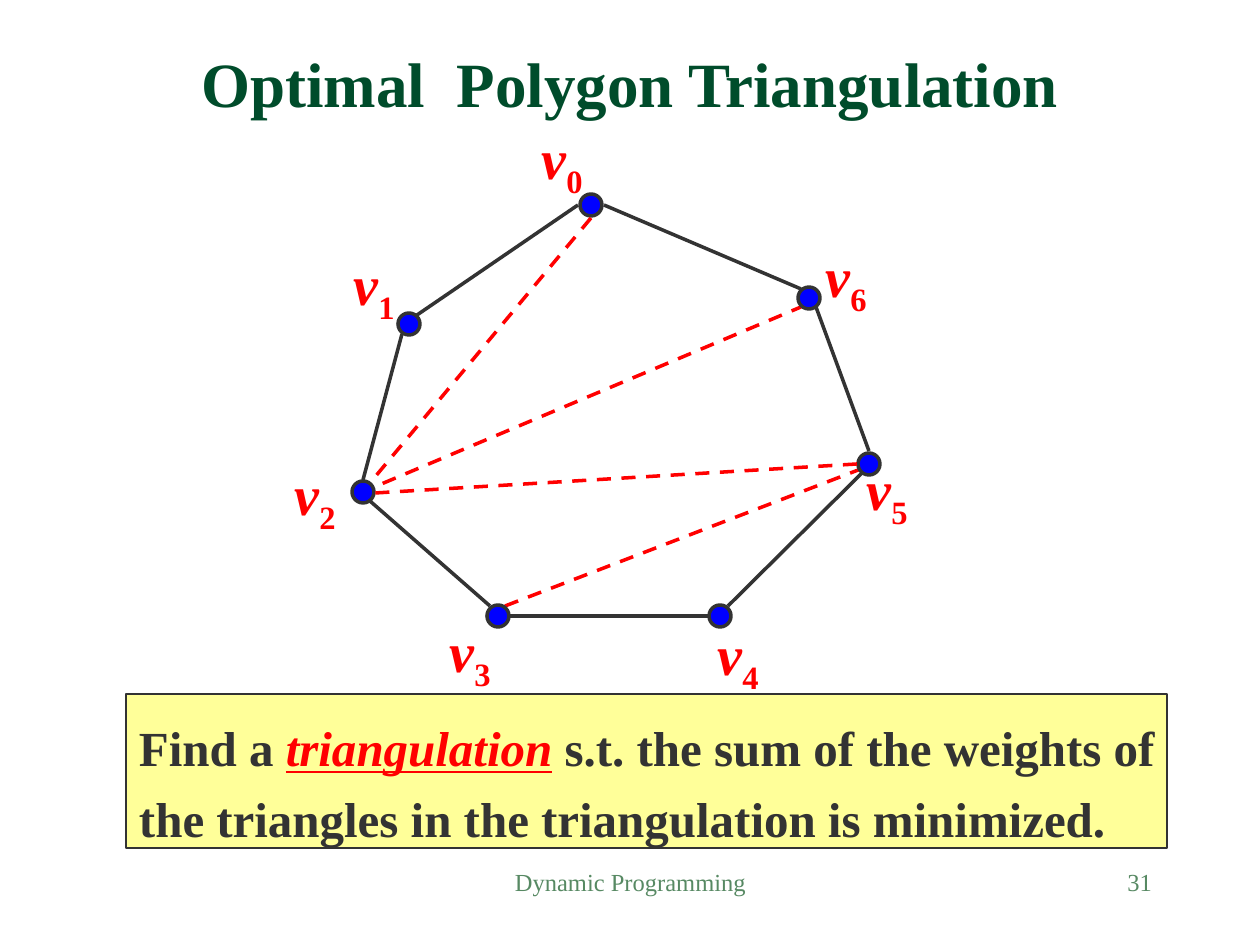
from lxml import etree
from pptx import Presentation
from pptx.dml.color import RGBColor
from pptx.enum.dml import MSO_LINE
from pptx.enum.shapes import MSO_CONNECTOR, MSO_SHAPE
from pptx.enum.text import MSO_ANCHOR, MSO_AUTO_SIZE, PP_ALIGN
from pptx.oxml.ns import qn
from pptx.util import Emu, Pt

STRAIGHT = MSO_CONNECTOR.STRAIGHT
OVAL, RECTANGLE = MSO_SHAPE.OVAL, MSO_SHAPE.RECTANGLE
TOP, BOTTOM = MSO_ANCHOR.TOP, MSO_ANCHOR.BOTTOM
LEFT, CENTER, RIGHT = PP_ALIGN.LEFT, PP_ALIGN.CENTER, PP_ALIGN.RIGHT
DASH = MSO_LINE.DASH
NO_AUTOFIT = MSO_AUTO_SIZE.NONE

FONT = "Times New Roman"
INK, RED, BLUE, YELLOW = "333333", "FF0000", "0000FF", "FFFF99"
TITLE_GREEN, FOOTER_GREEN = "004C2B", "578963"
DOT = 22
INSETS = (13, 6, 13, 6)

VERTICES = [
    ((591, 205), (541, 131)),
    ((409, 324), (353, 257)),
    ((363, 492), (294, 467)),
    ((498, 616), (449, 624)),
    ((720, 616), (717, 627)),
    ((869, 464), (866, 462)),
    ((809, 298), (825, 249)),
]
SIDES = [
    (578, 205, 417, 315),
    (402, 334, 363, 480),
    (370, 501, 490, 606),
    (510, 616, 708, 616),
    (728, 606, 862, 473),
    (869, 451, 816, 307),
    (801, 289, 604, 205),
]
DIAGONALS_BEHIND = [(360, 493, 801, 307), (505, 606, 866, 467)]
DIAGONALS_IN_FRONT = [(857, 464, 375, 493), (591, 218, 370, 483)]


def px(length):
    return Emu(round(length * 914400 / 126))


def color(value):
    return RGBColor.from_string(value)


class SlideBuilder:
    """Draws styled elements on the current slide."""

    def __init__(self, slide):
        self.slide = slide
        self.shapes = slide.shapes

    def add_runs(self, shape, runs, size, align=LEFT, anchor=TOP, insets=INSETS,
                 spacing=1.0, wrap=True):
        frame = shape.text_frame
        frame.auto_size = NO_AUTOFIT
        frame.word_wrap = wrap
        frame.vertical_anchor = anchor
        (frame.margin_left, frame.margin_top,
         frame.margin_right, frame.margin_bottom) = map(px, insets)
        paragraph = frame.paragraphs[0]
        paragraph.alignment = align
        paragraph.line_spacing = spacing
        paragraph.space_before = Pt(0)
        for text, ink, style in runs:
            run = paragraph.add_run()
            run.text = text
            font = run.font
            font.name, font.size = FONT, Pt(size)
            font.color.rgb = color(ink)
            font.bold = "b" in style
            font.italic = "i" in style
            font.underline = "u" in style
            if "sub" in style:
                run._r.get_or_add_rPr().set("baseline", "-25000")

    def title(self, text, left, top, width, height):
        shape = self.shapes.title
        shape.left, shape.top = px(left), px(top)
        shape.width, shape.height = px(width), px(height)
        self.add_runs(shape, [(text, TITLE_GREEN, ["b"])], 36, CENTER, BOTTOM)

    def text(self, runs, left, top, width, height, size, align, **options):
        shape = self.shapes.add_textbox(*map(px, (left, top, width, height)))
        self.add_runs(shape, runs, size, align, **options)

    def shape(self, kind, left, top, width, height, fill, line_width):
        shape = self.shapes.add_shape(kind, *map(px, (left, top, width, height)))
        shape.shadow.inherit = False
        shape.fill.solid()
        shape.fill.fore_color.rgb = color(fill)
        shape.line.color.rgb = color(INK)
        shape.line.width = Pt(line_width)
        return shape

    def line(self, ends, ink, dash=None):
        connector = self.shapes.add_connector(STRAIGHT, *map(px, ends))
        connector.line.color.rgb = color(ink)
        connector.line.width = Pt(2)
        if dash is not None:
            connector.line.dash_style = dash
        etree.SubElement(connector._element.spPr, qn("a:effectLst"))

    def vertex(self, center_x, center_y):
        self.shape(OVAL, center_x - DOT // 2, center_y - DOT // 2, DOT, DOT, BLUE, 2)

    def vertex_label(self, index, left, top):
        runs = [("v", RED, ["b", "i"]), (str(index), RED, ["b", "sub"])]
        self.text(runs, left, top, 42, 62, 32, CENTER,
                  insets=(0, 0, 0, 0), spacing=0.8, wrap=False)


def main():
    presentation = Presentation()
    presentation.slide_width, presentation.slide_height = px(1260), px(945)
    slide = presentation.slides.add_slide(presentation.slide_layouts[5])
    builder = SlideBuilder(slide)

    builder.title("Optimal  Polygon Triangulation", 84, 53, 1092, 73)
    problem = builder.shape(RECTANGLE, 126, 694, 1041, 154, YELLOW, 1)
    builder.add_runs(problem, [
        ("Find a ", INK, ["b"]),
        ("triangulation", RED, ["b", "i", "u"]),
        (" s.t. the sum of the weights of the triangles in the "
         "triangulation is minimized.", INK, ["b"]),
    ], 28, insets=(13, 12, 10, 6), spacing=1.2)

    for ends in DIAGONALS_BEHIND:
        builder.line(ends, RED, DASH)
    for center, _ in VERTICES:
        builder.vertex(*center)
    for index, (_, corner) in enumerate(VERTICES):
        builder.vertex_label(index, *corner)
    for ends in SIDES:
        builder.line(ends, INK)
    for ends in DIAGONALS_IN_FRONT:
        builder.line(ends, RED, DASH)

    footer_items = [("Dynamic Programming", 431, 399, CENTER), ("31", 903, 262, RIGHT)]
    for text, left, width, align in footer_items:
        builder.text([(text, FOOTER_GREEN, [])], left, 861, width, 63, 14, align)

    presentation.save("out.pptx")


if __name__ == "__main__":
    main()
